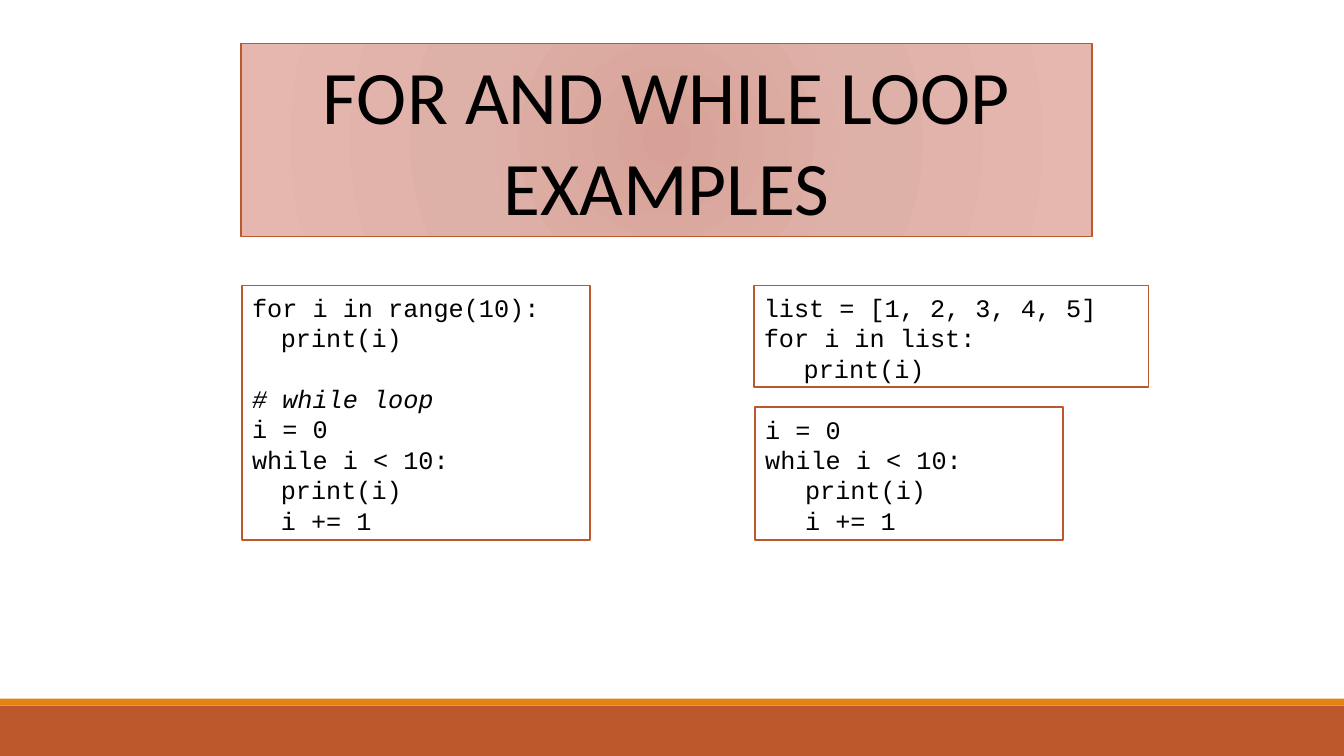
from lxml import etree
from pptx import Presentation
from pptx.dml.color import RGBColor
from pptx.enum.shapes import MSO_SHAPE as SHAPE
from pptx.enum.text import MSO_ANCHOR as ANCHOR, PP_ALIGN as ALIGN
from pptx.oxml.ns import qn
from pptx.util import Pt

COLORS = {"rust": "BD582C", "orange": "E48312", "white": "FFFFFF", "black": "000000"}
TITLE_GLOW = [(0, "D7A197"), (45, "DEB1A8"), (100, "E6B7AE")]


def color(name):
    return RGBColor.from_string(COLORS[name])


def add_rect(left, top, width, height, fill):
    rect = slide.shapes.add_shape(SHAPE.RECTANGLE, Pt(left), Pt(top), Pt(width), Pt(height))
    rect.shadow.inherit = False
    rect.fill.solid()
    rect.fill.fore_color.rgb = color(fill)
    rect.line.fill.background()
    return rect


prs = Presentation()
prs.slide_width, prs.slide_height = Pt(960), Pt(540)
slide = prs.slides.add_slide(prs.slide_layouts[5])

# Footer bands
add_rect(0, 504, 960, 36, "rust")
add_rect(0, 499, 960, 5, "orange")

# Title with a radial gradient
title = slide.shapes.title
title.left, title.top, title.width, title.height = Pt(172), Pt(31), Pt(608), Pt(138)
title.line.color.rgb = color("rust")
title.line.width = Pt(1)
title.fill.gradient()
gradient = title.element.spPr.find(qn("a:gradFill"))
for part in list(gradient):
    gradient.remove(part)
stops = etree.SubElement(gradient, qn("a:gsLst"))
for percent, tone in TITLE_GLOW:
    stop = etree.SubElement(stops, qn("a:gs"), pos=str(percent * 1000))
    etree.SubElement(stop, qn("a:srgbClr"), val=tone)
circle = etree.SubElement(gradient, qn("a:path"), path="circle")
etree.SubElement(circle, qn("a:fillToRect"), dict.fromkeys("ltrb", "100000"))

title.text_frame.text = "FOR AND WHILE LOOP EXAMPLES"
title.text_frame.word_wrap = True
title.text_frame.vertical_anchor = ANCHOR.MIDDLE
heading = title.text_frame.paragraphs[0]
heading.alignment = ALIGN.CENTER
heading.runs[0].font.size = Pt(54)
heading.runs[0].font.name = "Calibri"
heading.runs[0].font.color.rgb = color("black")

# Code boxes: left, top, width, height, indent of loop bodies, lines (level, code)
LINE_PITCH = 21.7
while_loop = [(0, "i = 0"), (0, "while i < 10:"), (1, "print(i)"), (1, "i += 1")]
code_boxes = [
    (173, 204, 248.5, 181.5, 20.5,
     [(0, "for i in range(10):"), (1, "print(i)"), (0, "# while loop")] + while_loop),
    (538.5, 204, 282, 72.5, 28.5,
     [(0, "list = [1, 2, 3, 4, 5]"), (0, "for i in list:"), (1, "print(i)")]),
    (539.5, 291, 220, 94.5, 28.5, while_loop),
]
for left, top, width, height, indent, lines in code_boxes:
    box = add_rect(left, top, width, height, "white")
    box.line.color.rgb = color("rust")
    box.line.width = Pt(1.25)
    frame = box.text_frame
    frame.word_wrap = True
    frame.vertical_anchor = ANCHOR.TOP
    frame.margin_top = Pt(4.5)
    frame.margin_bottom = Pt(2.5)
    frame.text = "\n".join(code for level, code in lines)
    for line, (level, code) in zip(frame.paragraphs, lines):
        is_comment = code.startswith("#")
        line.alignment = ALIGN.LEFT
        line.line_spacing = Pt(LINE_PITCH)
        line.space_before = Pt(LINE_PITCH if is_comment else 0)
        line._p.get_or_add_pPr().set("marL", str(Pt(indent * level)))
        font = line.runs[0].font
        font.name = "Courier New"
        font.size = Pt(18)
        font.italic = is_comment
        font.color.rgb = color("black")

prs.save("out.pptx")
